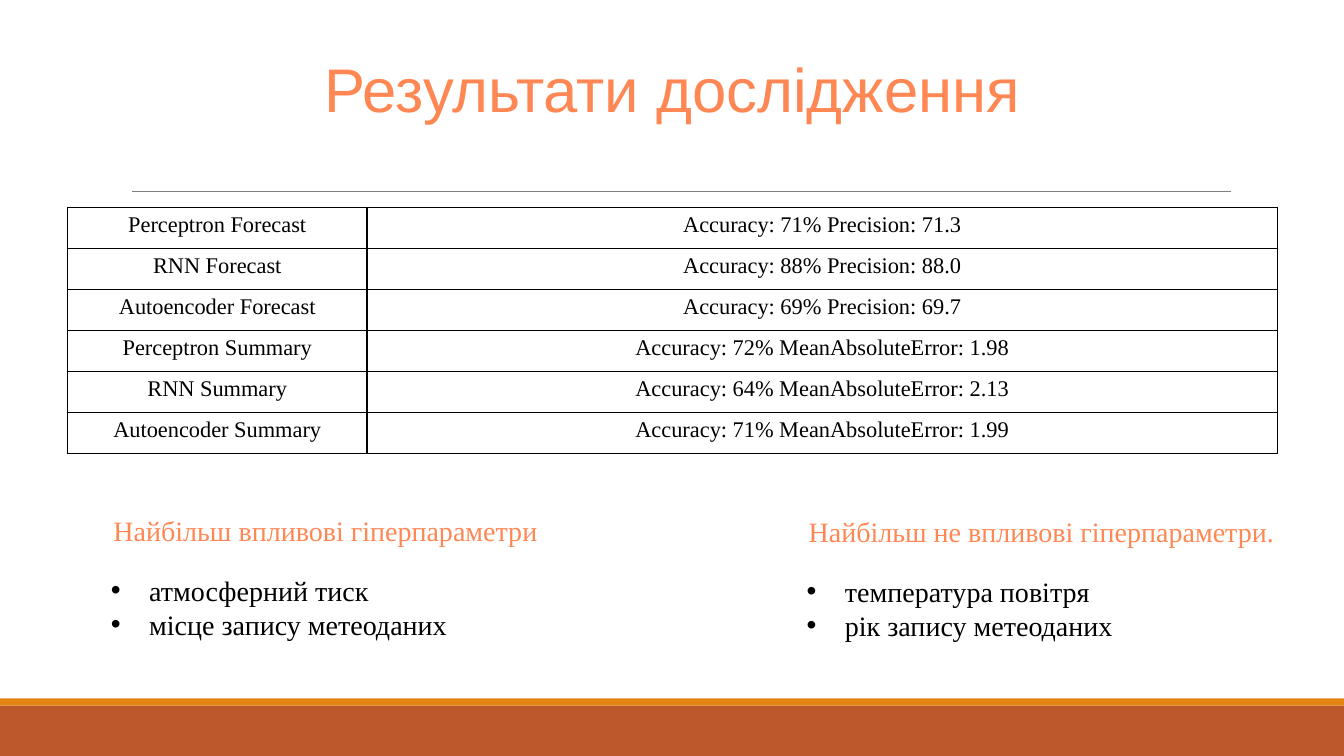
from lxml import etree
from pptx import Presentation
from pptx import util as u
from pptx.dml.color import RGBColor
from pptx.enum import shapes, text
from pptx.oxml.ns import qn

SERIF = "Times New Roman"
ACCENT = "FF8754"
RESULTS = [
    ("Perceptron Forecast", "Accuracy: 71% Precision: 71.3"),
    ("RNN Forecast", "Accuracy: 88% Precision: 88.0"),
    ("Autoencoder Forecast", "Accuracy: 69% Precision: 69.7"),
    ("Perceptron Summary", "Accuracy: 72% MeanAbsoluteError: 1.98"),
    ("RNN Summary", "Accuracy: 64% MeanAbsoluteError: 2.13"),
    ("Autoencoder Summary", "Accuracy: 71% MeanAbsoluteError: 1.99"),
]


def color(value):
    """Turn a hex string into a colour."""
    return RGBColor.from_string(value)


def inches(*lengths):
    """Convert several lengths to Inches."""
    return [u.Inches(length) for length in lengths]


def write(frame, lines, size=20, font=SERIF, fill="000000", align=None,
          spacing=None, anchor=text.MSO_ANCHOR.TOP, bullet=False):
    """Fill a text frame without insets, one paragraph per line."""
    frame.word_wrap = True
    frame.auto_size = text.MSO_AUTO_SIZE.NONE
    frame.vertical_anchor = anchor
    frame.margin_left = frame.margin_top = frame.margin_right = frame.margin_bottom = 0
    for index, line in enumerate(lines):
        paragraph = frame.add_paragraph() if index else frame.paragraphs[0]
        format_paragraph(paragraph, line, size, font, fill, align)
        if spacing:
            paragraph.line_spacing = spacing
        if bullet:
            add_bullet(paragraph)


def format_paragraph(paragraph, line, size, font, fill, align):
    """Put one formatted run in a paragraph."""
    paragraph.alignment = align
    run = paragraph.add_run()
    run.text = line
    run.font.size = u.Pt(size)
    run.font.name = font
    run.font.color.rgb = color(fill)


def add_bullet(paragraph, indent=0.38):
    """Give a paragraph a hanging round bullet."""
    properties = paragraph._p.get_or_add_pPr()
    properties.set("marL", str(u.Inches(indent)))
    properties.set("indent", str(-u.Inches(indent)))
    etree.SubElement(properties, qn("a:buFont"), typeface="Arial")
    etree.SubElement(properties, qn("a:buChar"), char="•")


def add_bar(slide, box, fill):
    """Draw a plain filled bar."""
    bar = slide.shapes.add_shape(shapes.MSO_SHAPE.RECTANGLE, *inches(*box))
    bar.shadow.inherit = False
    bar.fill.solid()
    bar.fill.fore_color.rgb = color(fill)
    bar.line.fill.background()


def add_footer(slide, left, top, width, height, stripe=0.07):
    """Draw the footer band with a thin stripe along its top."""
    add_bar(slide, (left, top + stripe, width, height - stripe), "BD582C")
    add_bar(slide, (left, top, width, stripe), "E48312")


def add_title(slide, left, top, width, height, title):
    """Place the title and the rule below it."""
    shape = slide.shapes.title
    shape.left, shape.top, shape.width, shape.height = inches(left, top, width, height)
    write(shape.text_frame, [title], size=44, font="Arial", fill=ACCENT,
          align=text.PP_ALIGN.CENTER, spacing=0.85, anchor=text.MSO_ANCHOR.MIDDLE)
    rule_top = top + height + 0.35
    rule = slide.shapes.add_connector(
        shapes.MSO_CONNECTOR.STRAIGHT,
        *inches(left + 0.64, rule_top, left + width - 0.46, rule_top))
    rule.line.color.rgb = color("808080")
    rule.line.width = u.Pt(0.5)
    etree.SubElement(rule._element.spPr, qn("a:effectLst"))


def add_borders(cell, line_color="000000", width=1):
    """Draw all four borders of a cell, placed before its fill."""
    properties = cell._tc.get_or_add_tcPr()
    for index, side in enumerate(("a:lnL", "a:lnR", "a:lnT", "a:lnB")):
        border = etree.Element(qn(side), w=str(u.Pt(width)))
        fill = etree.SubElement(border, qn("a:solidFill"))
        etree.SubElement(fill, qn("a:srgbClr"), val=line_color)
        properties.insert(index, border)


def add_results(slide, left, top, width, height, rows, name_width=2.97):
    """Add the table of model scores."""
    table = slide.shapes.add_table(
        len(rows), 2, *inches(left, top, width, height)).table
    table.first_row = table.horz_banding = False
    table.columns[0].width = u.Inches(name_width)
    table.columns[1].width = u.Inches(width - name_width)
    for row_index, row in enumerate(rows):
        for column_index, value in enumerate(row):
            cell = table.cell(row_index, column_index)
            cell.fill.solid()
            cell.fill.fore_color.rgb = color("FFFFFF")
            add_borders(cell)
            format_paragraph(cell.text_frame.paragraphs[0], value, 16, SERIF,
                             "000000", text.PP_ALIGN.CENTER)


def add_parameters(slide, left, top, width, height, heading, items, list_left):
    """Add a heading with a bulleted list of hyperparameters under it."""
    label = slide.shapes.add_textbox(*inches(left, top, width, 1.25))
    write(label.text_frame, [heading], fill=ACCENT, align=text.PP_ALIGN.CENTER,
          spacing=0.85, anchor=text.MSO_ANCHOR.MIDDLE)
    list_top = 1.03
    listing = slide.shapes.add_textbox(
        *inches(left + list_left, top + list_top, 3.41, height - list_top))
    write(listing.text_frame, items, bullet=True)


def build_results_slide(presentation):
    """Build the slide of research results."""
    slide = presentation.slides.add_slide(presentation.slide_layouts[5])
    add_footer(slide, 0, 6.93, 13.33, 0.57)
    add_title(slide, 0.67, 0.3, 12, 1.25, "Результати дослідження")
    add_results(slide, 0.67, 2.06, 12, 2.44, RESULTS)
    add_parameters(slide, 0.9, 4.66, 4.66, 1.84, "Найбільш впливові гіперпараметри",
                   ["атмосферний тиск", "місце запису метеоданих"], list_left=0.2)
    add_parameters(slide, 8, 4.67, 4.66, 1.84, "Найбільш не впливові гіперпараметри.",
                   ["температура повітря", "рік запису метеоданих"], list_left=0)


def main():
    """Create and save the presentation."""
    presentation = Presentation()
    presentation.slide_width, presentation.slide_height = inches(13.33, 7.5)
    build_results_slide(presentation)
    presentation.save("out.pptx")


main()
